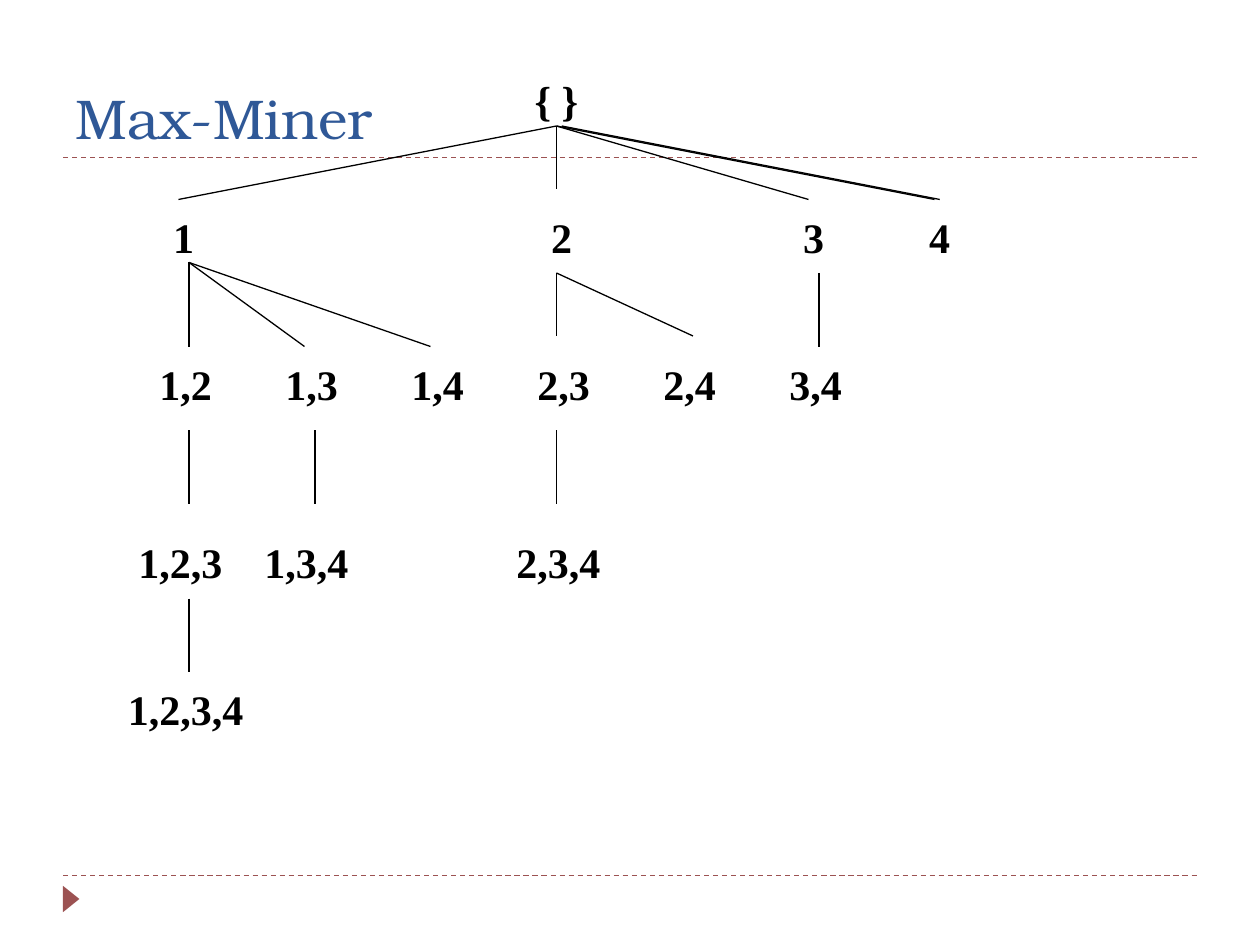
from pptx import Presentation
from pptx import util as u
from pptx.dml.color import RGBColor
from pptx.enum import dml, shapes, text
from pptx.oxml.ns import qn
from lxml import etree

Pt = u.Pt


def rgb(code):
    return RGBColor.from_string(code)


def draw(x1, y1, x2, y2, code="000000", dash=None):
    line = slide.shapes.add_connector(
        shapes.MSO_CONNECTOR.STRAIGHT, Pt(x1), Pt(y1), Pt(x2), Pt(y2))
    line.line.color.rgb = rgb(code)
    line.line.width = Pt(0.75)
    if dash:
        line.line.dash_style = dash
    etree.SubElement(line._element.spPr, qn("a:effectLst"))
    return line


deck = Presentation()
deck.slide_width, deck.slide_height = Pt(720), Pt(540)
slide = deck.slides.add_slide(deck.slide_layouts[5])

# Dashed rules and corner mark
for y in (500.4, 90):
    draw(36, y, 684, y, "9C5252", dml.MSO_LINE.DASH)
mark = slide.shapes.add_shape(
    shapes.MSO_SHAPE.ISOSCELES_TRIANGLE, Pt(33.1), Pt(509), Pt(15.1), Pt(9.4))
mark.rotation = 90
mark.shadow.inherit = False
mark.fill.solid()
mark.fill.fore_color.rgb = rgb("9C5252")
mark.line.fill.background()

# Title
title = slide.shapes.title
title.left, title.top, title.width, title.height = Pt(36), Pt(12), Pt(648), Pt(78)
frame = title.text_frame
frame.text = "Max-Miner"
frame.auto_size = text.MSO_AUTO_SIZE.NONE
frame.vertical_anchor = text.MSO_ANCHOR.BOTTOM
para = frame.paragraphs[0]
para.alignment = text.PP_ALIGN.LEFT
for key, val in {"name": "TeX Gyre Bonum", "size": Pt(32)}.items():
    setattr(para.font, key, val)
para.font.color.rgb = rgb("2F5897")

# Itemsets, one box per level, with a tab stop at every inch
left, mid = text.PP_ALIGN.LEFT, text.PP_ALIGN.CENTER
levels = [
    ("{ }", 294, 36, 48, mid),
    ("1\t\t\t2\t\t3\t4", 30, 114, 582, mid),
    ("1,2\t1,3\t1,4\t2,3\t2,4\t3,4", 84, 198, 522, left),
    ("1,2,3\t1,3,4\t\t2,3,4", 72, 300, 300, left),
    ("1,2,3,4", 66, 384, 90, left),
]
style = {"name": "Times New Roman", "size": Pt(24), "bold": True}
boxes = []
for words, x, y, wide, align in levels:
    box = slide.shapes.add_textbox(Pt(x), Pt(y), Pt(wide), Pt(36))
    frame = box.text_frame
    frame.word_wrap = True
    frame.margin_top = Pt(6.6)
    frame.text = words
    para = frame.paragraphs[0]
    para.alignment = align
    if "\t" in words:
        tabs = etree.SubElement(para._p.get_or_add_pPr(), qn("a:tabLst"))
        for stop in range(1, 7):
            etree.SubElement(tabs, qn("a:tab"), pos=str(Pt(72 * stop)), algn="l")
    for key, val in style.items():
        setattr(para.font, key, val)
    para.font.color.rgb = rgb("000000")
    boxes.append(box)

# Branches from the root
for x, y in ((102, 114), (318, 108), (462, 114), (534, 114)):
    draw(318, 72, x, y).begin_connect(boxes[0], 2)
draw(321, 72, 537, 114)

# Branches lower down: parent x, top, bottom, child xs
fans = [
    (108, 150, 198, (108, 174, 246)),
    (318, 156, 192, (318, 396)),
    (468, 156, 198, (468,)),
    (108, 246, 288, (108,)),
    (180, 246, 288, (180,)),
    (318, 246, 288, (318,)),
    (108, 342, 384, (108,)),
]
for x, top, base, kids in fans:
    for kid in kids:
        draw(x, top, kid, base)

deck.save("out.pptx")
